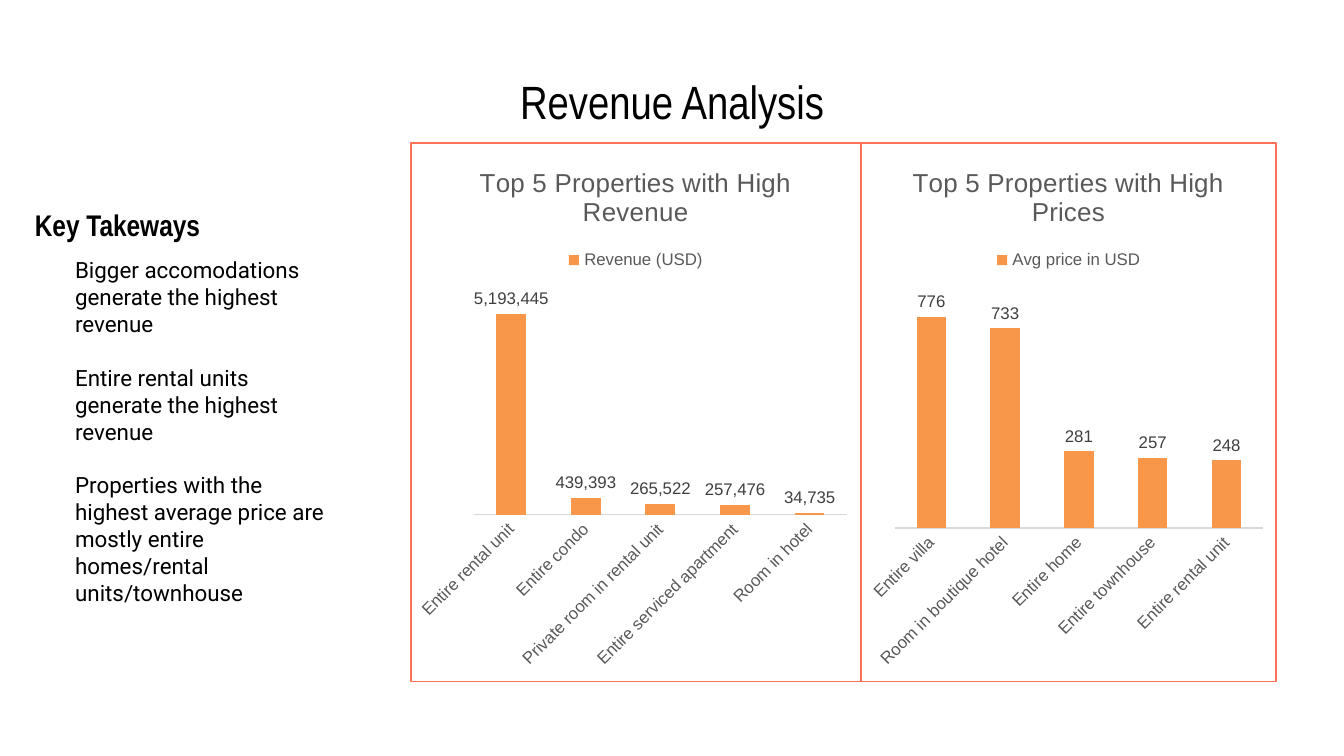
from lxml.etree import fromstring
from pptx import Presentation
from pptx.chart.data import CategoryChartData
from pptx.dml.color import RGBColor
from pptx.enum.chart import XL_CHART_TYPE as ChartType
from pptx.enum.chart import XL_LABEL_POSITION as LabelPosition
from pptx.enum.chart import XL_LEGEND_POSITION as LegendPosition
from pptx.enum.chart import XL_TICK_MARK as TickMark
from pptx.enum.text import MSO_ANCHOR, MSO_AUTO_SIZE, PP_ALIGN
from pptx.util import Cm, Pt

# Content
TITLE = "Revenue Analysis"
HEADING = "Key Takeways"
TAKEAWAYS = [
    "Bigger accomodations generate the highest revenue",
    "Entire rental units generate the highest revenue",
    "Properties with the highest average price are mostly entire "
    "homes/rental units/townhouse",
]
# left and width in cm; plot is x, y, width, height as shares of the chart
CHARTS = [
    dict(
        title="Top 5 Properties with High Revenue",
        series="Revenue (USD)",
        values={
            "Entire rental unit": 5193445,
            "Entire condo": 439393,
            "Private room in rental unit": 265522,
            "Entire serviced apartment": 257476,
            "Room in hotel": 34735,
        },
        left=7.75, width=8.53, maximum=6000000, plot=(0.14, 0.26, 0.83, 0.43),
    ),
    dict(
        title="Top 5 Properties with High Prices",
        series="Avg price in USD",
        values={
            "Entire villa": 776,
            "Room in boutique hotel": 733,
            "Entire home": 281,
            "Entire townhouse": 257,
            "Entire rental unit": 248,
        },
        left=16.26, width=7.87, maximum=900, plot=(0.08, 0.26, 0.89, 0.455),
    ),
]
CHART_TOP, CHART_HEIGHT = 2.69, 10.21
BLACK, GREY, DARK_GREY, LIGHT_GREY = "000000", "595959", "404040", "D9D9D9"
ORANGE, BORDER = "F89649", "FA7256"
NAMESPACES = (
    'xmlns:c="http://schemas.openxmlformats.org/drawingml/2006/chart" '
    'xmlns:a="http://schemas.openxmlformats.org/drawingml/2006/main"'
)


def color(value):
    return RGBColor.from_string(value)


def set_font(font, name, size, value, bold=False):
    font.name, font.size, font.bold = name, Pt(size), bold
    font.color.rgb = color(value)


def place(shape, left, top, width, height):
    shape.left, shape.top = Cm(left), Cm(top)
    shape.width, shape.height = Cm(width), Cm(height)


def fill_text(shape, lines, name, size, bold=False, gap=0,
              align=PP_ALIGN.LEFT, anchor=MSO_ANCHOR.TOP):
    frame = shape.text_frame
    frame.word_wrap, frame.auto_size = True, MSO_AUTO_SIZE.NONE
    frame.vertical_anchor = anchor
    frame.margin_left = frame.margin_right = Cm(0.25)
    frame.margin_top = frame.margin_bottom = Cm(0.25)
    for index, line in enumerate(lines):
        paragraph = frame.add_paragraph() if index else frame.paragraphs[0]
        paragraph.alignment = align
        paragraph.space_before = Pt(gap if index else 0)
        run = paragraph.add_run()
        run.text = line
        set_font(run.font, name, size, BLACK, bold)


def frame_chart(chart, plot):
    """Set the plot's place, square corners and the outline."""
    space = chart._chartSpace
    parts = "".join(
        f'<c:{tag} val="{value}"/>' for tag, value in zip("xywh", plot))
    layout = fromstring(
        f'<c:layout {NAMESPACES}><c:manualLayout><c:layoutTarget val="inner"/>'
        f'<c:xMode val="edge"/><c:yMode val="edge"/>{parts}'
        '</c:manualLayout></c:layout>')
    area = space.chart.plotArea
    for old in area.findall("{*}layout"):
        area.remove(old)
    area.insert(0, layout)
    space.chart.addprevious(
        fromstring(f'<c:roundedCorners {NAMESPACES} val="0"/>'))
    space.chart.addnext(fromstring(
        f'<c:spPr {NAMESPACES}><a:solidFill><a:srgbClr val="FFFFFF"/>'
        f'</a:solidFill><a:ln w="{Pt(1)}"><a:solidFill>'
        f'<a:srgbClr val="{BORDER}"/></a:solidFill></a:ln></c:spPr>'))


def add_column_chart(slide, item):
    data = CategoryChartData(number_format="#,##0")
    data.categories = list(item["values"])
    data.add_series(item["series"], list(item["values"].values()))
    chart = slide.shapes.add_chart(
        ChartType.COLUMN_CLUSTERED, Cm(item["left"]), Cm(CHART_TOP),
        Cm(item["width"]), Cm(CHART_HEIGHT), data).chart
    set_font(chart.font, "Arial", 10, BLACK)

    # Title and legend
    run = chart.chart_title.text_frame.paragraphs[0].add_run()
    run.text = item["title"]
    set_font(run.font, "Arial", 14, GREY)
    chart.has_legend = True
    chart.legend.position = LegendPosition.TOP
    chart.legend.include_in_layout = False
    set_font(chart.legend.font, "Arial", 9, GREY)

    # Axes
    category_axis, value_axis = chart.category_axis, chart.value_axis
    category_axis.major_tick_mark = TickMark.NONE
    category_axis.format.line.color.rgb = color(LIGHT_GREY)
    category_axis.format.line.width = Pt(0.75)
    set_font(category_axis.tick_labels.font, "Arial", 9, GREY)
    category_axis._element.txPr.bodyPr.set("rot", str(-45 * 60000))
    value_axis.has_major_gridlines = False
    value_axis.minimum_scale, value_axis.maximum_scale = 0, item["maximum"]
    value_axis.visible = False

    # Columns and their labels
    plot = chart.plots[0]
    plot.vary_by_categories = False
    plot.gap_width, plot.overlap = 150, -25
    fill = plot.series[0].format.fill
    fill.solid()
    fill.fore_color.rgb = color(ORANGE)
    labels = plot.series[0].data_labels
    labels.show_value = True
    labels.position = LabelPosition.OUTSIDE_END
    labels.number_format, labels.number_format_is_linked = "#,##0", False
    set_font(labels.font, "Arial", 9, DARK_GREY)
    frame_chart(chart, item["plot"])


def main():
    presentation = Presentation()
    presentation.slide_width, presentation.slide_height = Cm(25.4), Cm(14.29)
    slide = presentation.slides.add_slide(presentation.slide_layouts[5])

    # Title
    title = slide.shapes.title
    place(title, 1.27, 1.24, 22.86, 1.45)
    fill_text(title, [TITLE], "Arial Narrow", 25,
              align=PP_ALIGN.CENTER, anchor=MSO_ANCHOR.BOTTOM)

    # Takeaways
    heading = slide.shapes.add_textbox(Cm(0.41), Cm(3.66), Cm(5.38), Cm(0.94))
    fill_text(heading, [HEADING], "Arial Narrow", 16, bold=True)
    takeaways = slide.shapes.add_textbox(Cm(1.17), Cm(4.6), Cm(5.51), Cm(8))
    fill_text(takeaways, TAKEAWAYS, "Roboto", 12, gap=14.4)

    # Charts
    for item in CHARTS:
        add_column_chart(slide, item)

    presentation.save("out.pptx")


if __name__ == "__main__":
    main()
